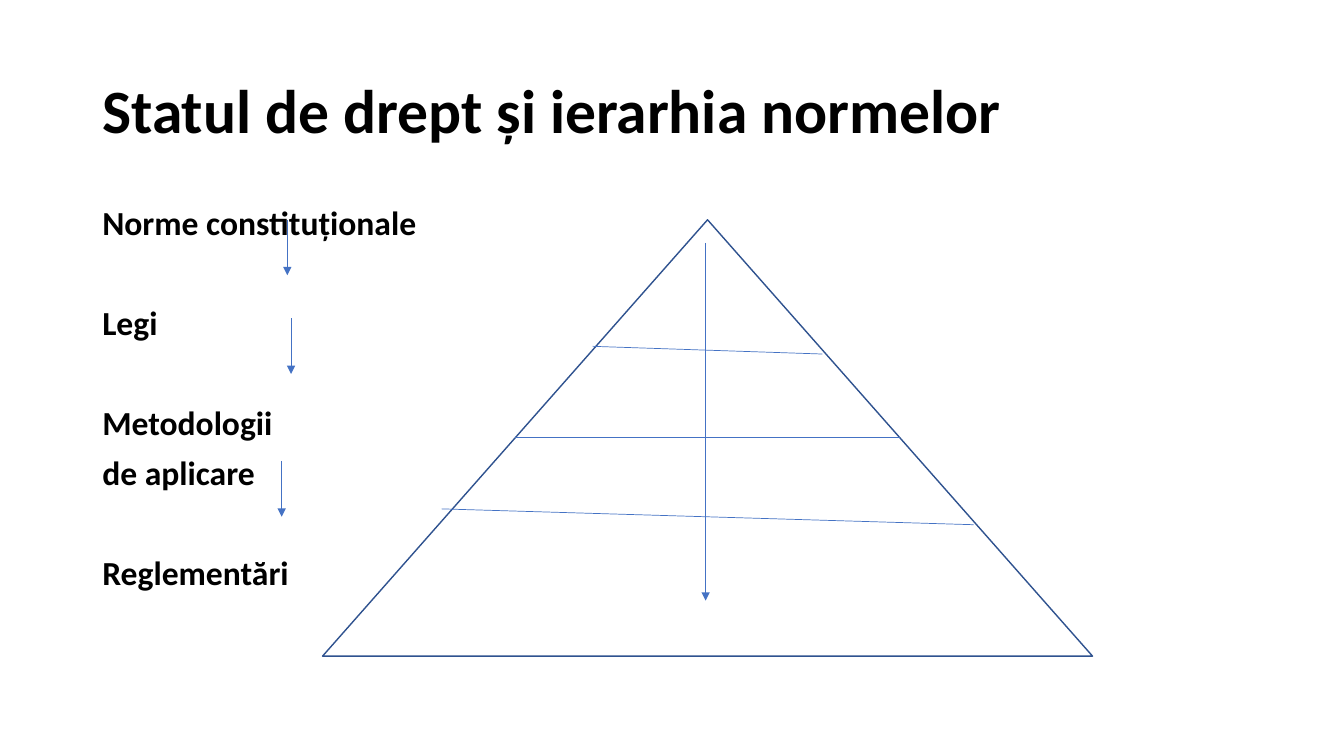
import pptx
import pptx.util
import pptx.dml.color
import pptx.enum.shapes
import pptx.enum.text
import pptx.oxml.ns
import lxml.etree

Pt = pptx.util.Pt
RGB = pptx.dml.color.RGBColor.from_string
qn = pptx.oxml.ns.qn

THEME = {
    "font": "Calibri",
    "text": RGB("000000"),
    "fill": RGB("FFFFFF"),
    "outline": RGB("2F528F"),
    "line": RGB("4472C4"),
    "title_size": Pt(44),
    "body_size": Pt(24),
    "outline_width": Pt(1),
    "line_width": Pt(0.5),
}

prs = pptx.Presentation()
prs.slide_width, prs.slide_height = Pt(960), Pt(540)
s = prs.slides.add_slide(prs.slide_layouts[6])


def add_text(box, anchor, size, lines):
    tf = s.shapes.add_textbox(*map(Pt, box)).text_frame
    tf.word_wrap = True
    tf.vertical_anchor = anchor
    for i, (text, space) in enumerate(lines):
        p = tf.paragraphs[0] if i == 0 else tf.add_paragraph()
        p.line_spacing = 0.9
        p.space_before = Pt(space)
        r = p.add_run()
        r.text = text
        r.font.color.rgb = THEME["text"]
        for name, value in {"name": THEME["font"], "size": size, "bold": True}.items():
            setattr(r.font, name, value)


def add_line(ends, arrow):
    c = s.shapes.add_connector(pptx.enum.shapes.MSO_CONNECTOR.STRAIGHT, *map(Pt, ends))
    c.line.color.rgb = THEME["line"]
    c.line.width = THEME["line_width"]
    if arrow:
        ln = c.line._get_or_add_ln()
        lxml.etree.SubElement(ln, qn("a:tailEnd"), type="triangle")
    lxml.etree.SubElement(c._element.spPr, qn("a:effectLst"))


anchors = pptx.enum.text.MSO_ANCHOR
add_text((66, 28.8, 828, 104.4), anchors.MIDDLE, THEME["title_size"],
         [("Statul de drept și ierarhia normelor", 0)])
add_text((66, 144, 828, 342.7), anchors.TOP, THEME["body_size"], [
    ("Norme constituționale", 0),
    ("Legi", 45.5),
    ("Metodologii", 45.5),
    ("de aplicare", 10),
    ("Reglementări", 45.5),
])

pyramid = s.shapes.add_shape(pptx.enum.shapes.MSO_SHAPE.ISOSCELES_TRIANGLE,
                             Pt(230.4), Pt(157), Pt(550), Pt(311.7))
pyramid.shadow.inherit = False
pyramid.fill.solid()
pyramid.fill.fore_color.rgb = THEME["fill"]
pyramid.line.color.rgb = THEME["outline"]
pyramid.line.width = THEME["outline_width"]

tier_lines = [
    (423.4, 247.4, 587.5, 252.9),
    (368, 312.4, 643, 312.4),
    (315.4, 363.5, 695.5, 374.8),
]
arrows = [
    (504, 173.5, 504, 429),
    (205.2, 157, 205.2, 196.6),
    (207.9, 227.5, 207.9, 267.1),
    (201.2, 329.3, 201.2, 369.1),
]
for ends in tier_lines:
    add_line(ends, False)
for ends in arrows:
    add_line(ends, True)

prs.save("out.pptx")
